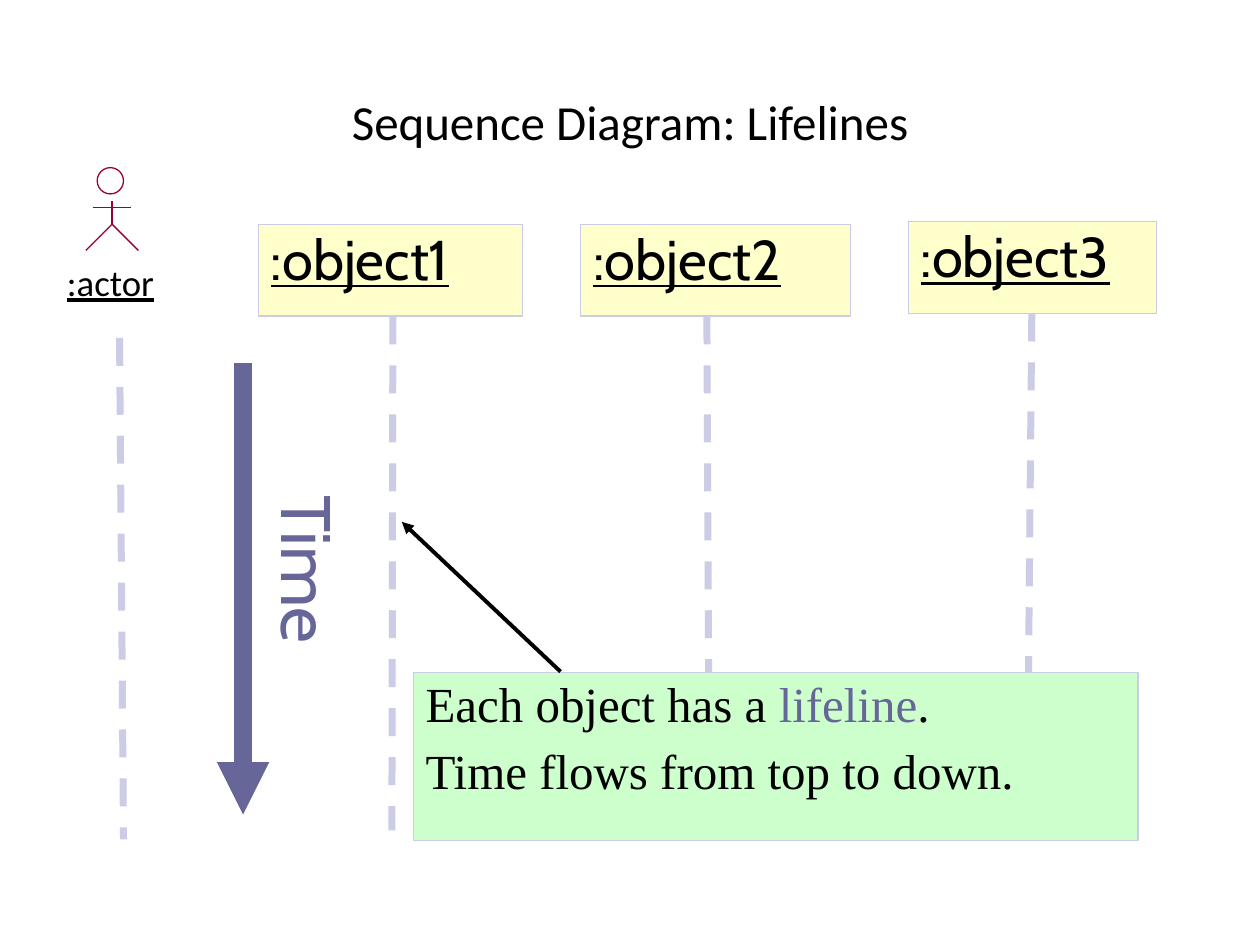
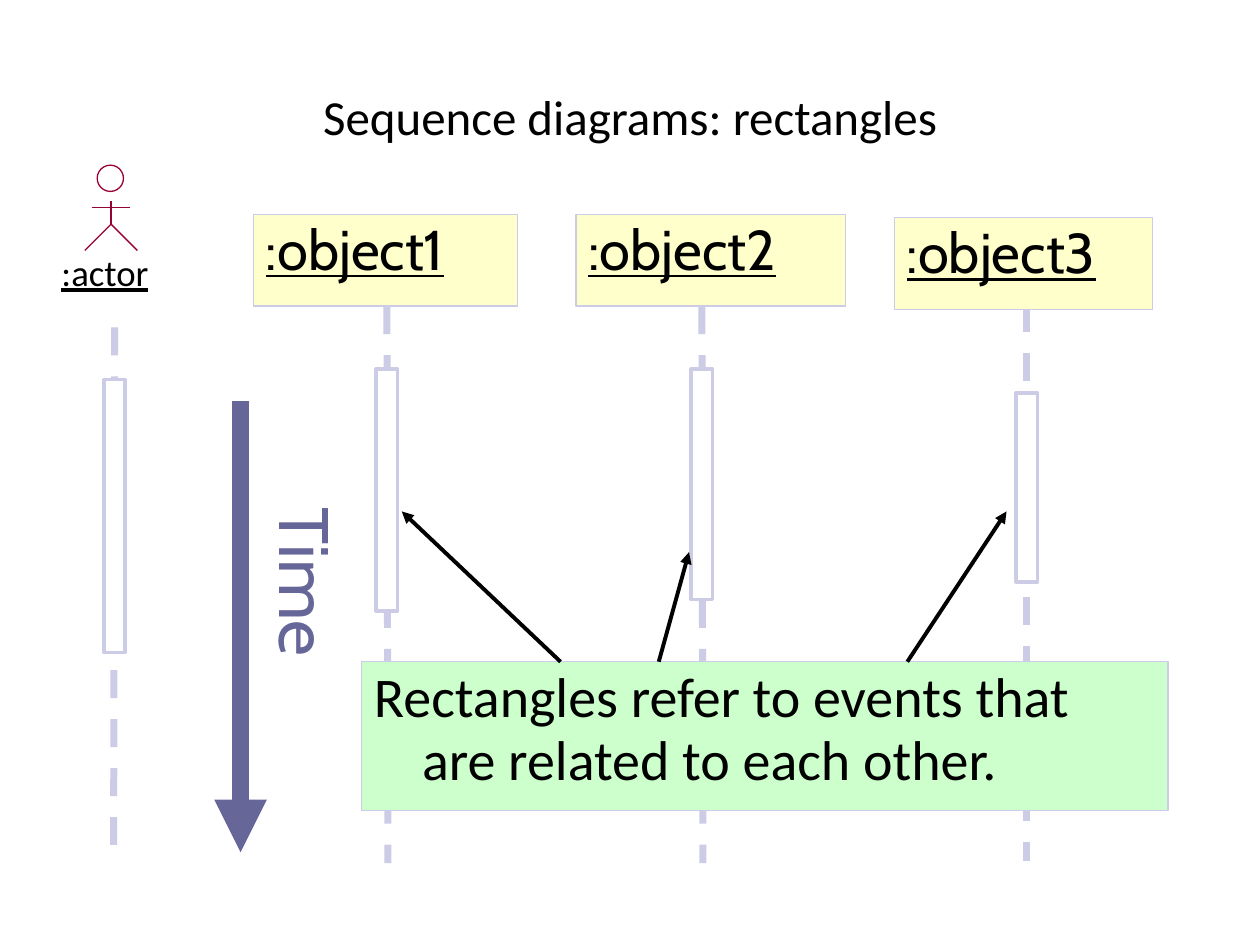
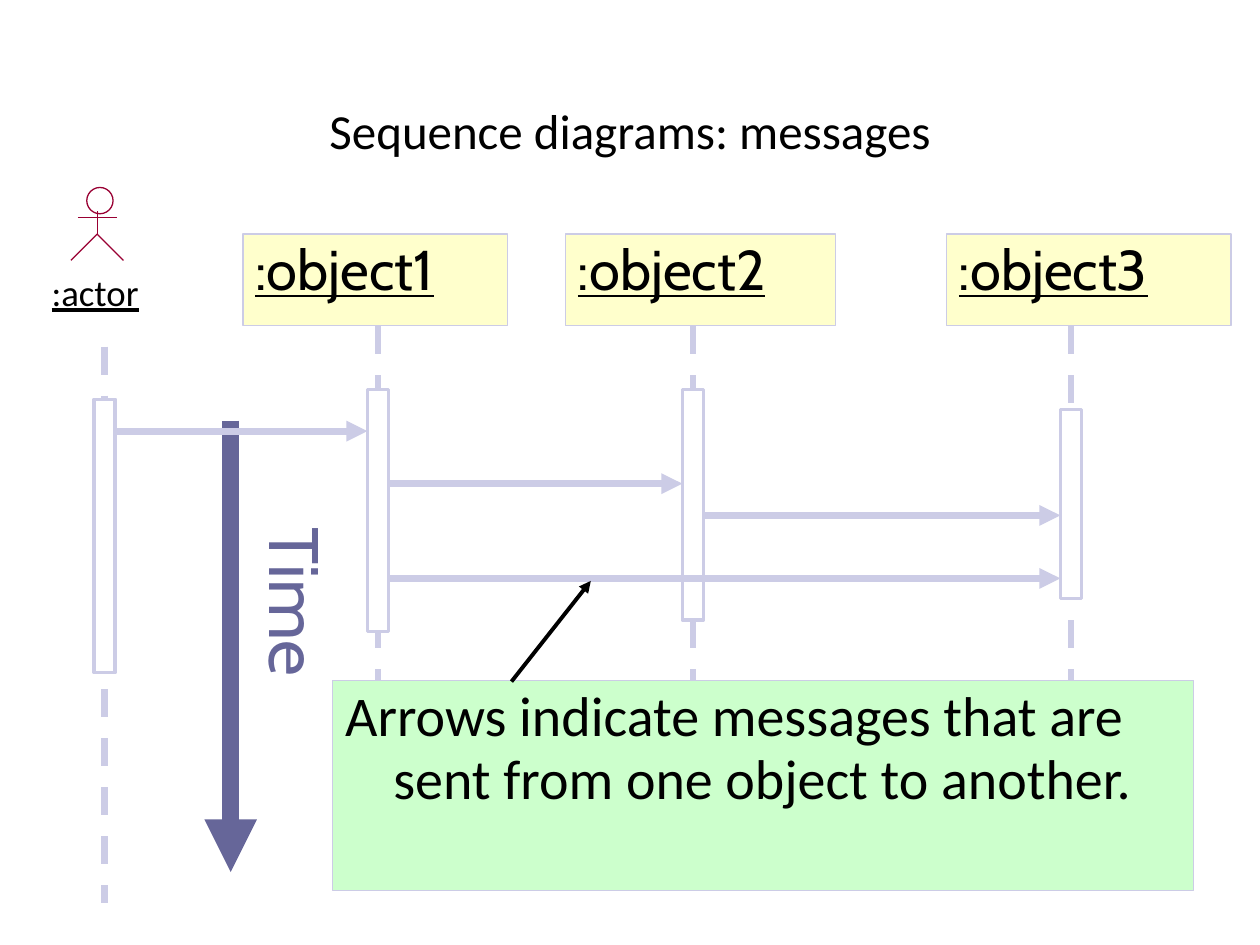
from lxml import etree
from pptx import Presentation, util as u
from pptx.dml.color import RGBColor
from pptx.enum import dml, shapes, text
from pptx.oxml import ns

COLORS = {"ink": "000000", "accent": "666699", "lavender": "CCCCE6",
          "cream": "FFFFCC", "mint": "CCFFCC", "white": "FFFFFF", "actor": "990033"}
OBJECTS = [":object1", ":object2", ":object3"]
OBJECT_HEIGHT = 1.85
ACTIVATION_WIDTH = 0.43
ACTIVATION_HEIGHTS = [5.51, 4.88, 4.65, 3.81]

# Lengths are centimetres; participants run from the actor to object3.
DIAGRAMS = [
    {"title": "Sequence Diagram: Lifelines", "title_height": 2.46,
     "hip": (2.26, 4.52), "head": (1.96, 3.38), "actor_label": (1.35, 5.31),
     "boxes": [(5.21, 4.52, 5.33), (11.71, 4.52, 5.44), (18.31, 4.47, 5)],
     "lifelines": [((2.41, 6.81), (2.49, 16.92)), ((7.92, 6.38), (7.9, 16.74)),
                   ((14.25, 6.38), (14.3, 16.92)), ((20.8, 6.32), (20.7, 17.12))],
     "time": (4.9, 7.32, 10.54),
     "activation_tops": [], "messages": [],
     "note_box": (8.33, 13.56, 14.61, 3.38), "note_font": ("Times New Roman", 28),
     "note": [[("Each object has a ", "ink"), ("lifeline", "accent"), (".", "ink")],
              [("Time flows from top to down.", "ink")]],
     "pointers": [((11.3, 13.54), (8.1, 10.52))]},
    {"title": "Sequence diagrams: rectangles", "title_height": 2.26,
     "hip": (2.24, 4.52), "head": (1.96, 3.33), "actor_label": (1.24, 5.11),
     "boxes": [(5.11, 4.32, 5.33), (11.61, 4.32, 5.44), (18.03, 4.39, 5.21)],
     "lifelines": [((2.31, 6.6), (2.29, 17.32)), ((7.8, 6.17), (7.82, 17.4)),
                   ((14.15, 6.17), (14.17, 17.4)), ((20.7, 6.12), (20.7, 17.35))],
     "time": (4.85, 8.08, 10.8),
     "activation_tops": [7.65, 7.44, 7.44, 7.92], "messages": [],
     "note_box": (7.29, 13.34, 16.26, 3), "note_font": ("Calibri", 32),
     "note": [[("Rectangles refer to events that are related to each other.", "ink")]],
     "pointers": [((11.3, 13.34), (8.1, 10.31)), ((13.28, 13.34), (13.89, 11.13)),
                  ((18.29, 13.34), (20.29, 10.31))]},
    {"title": "Sequence diagrams: messages", "title_height": 2.84,
     "hip": (1.96, 4.72), "head": (1.75, 3.78), "actor_label": (1.04, 5.51),
     "boxes": [(4.9, 4.72, 5.33), (11.4, 4.72, 5.44), (19.08, 4.72, 5.74)],
     "lifelines": [((2.11, 6.99), (2.11, 18.21)), ((7.62, 6.58), (7.62, 17.78)),
                   ((13.97, 6.58), (13.97, 17.78)), ((21.59, 6.58), (21.59, 17.78))],
     "time": (4.65, 8.48, 11.2),
     "activation_tops": [8.05, 7.85, 7.85, 8.26],
     "messages": [(0, 1, 8.69), (1, 2, 9.75), (2, 3, 10.39), (1, 3, 11.66)],
     "note_box": (6.71, 13.72, 17.35, 4.24), "note_font": ("Calibri", 32),
     "note": [[("Arrows indicate messages that are sent from one object to another.", "ink")]],
     "pointers": [((10.31, 13.74), (11.91, 11.71))]},
]


def cm(*lengths):
    return [u.Cm(length) for length in lengths]


def rgb(color):
    return RGBColor.from_string(COLORS[color])


def style_runs(paragraph, font, size, color="ink", underline=None):
    paragraph.line_spacing = 0.93
    for run in paragraph.runs:
        run.font.name, run.font.size = font, u.Pt(size)
        run.font.color.rgb = rgb(color)
        run.font.underline = underline


def add_label(slide, words, box, font, size, color="ink", underline=None, inset=None, wrap=False):
    label = slide.shapes.add_textbox(*cm(*box))
    frame = label.text_frame
    frame.text = words
    frame.word_wrap = wrap
    if inset is not None:
        frame.margin_left = frame.margin_right = frame.margin_top = frame.margin_bottom = inset
    style_runs(frame.paragraphs[0], font, size, color, underline)
    return label


def outline(shape, fill, line, width=0.75):
    shape.shadow.inherit = False
    if fill:
        shape.fill.solid()
        shape.fill.fore_color.rgb = rgb(fill)
    else:
        shape.fill.background()
    shape.line.color.rgb = rgb(line)
    shape.line.width = u.Pt(width)


def add_block(slide, box, fill, line="lavender", width=0.75, kind=shapes.MSO_SHAPE.RECTANGLE):
    block = slide.shapes.add_shape(kind, *cm(*box))
    outline(block, fill, line, width)
    frame = block.text_frame
    frame.word_wrap = True
    frame.vertical_anchor = text.MSO_ANCHOR.TOP
    frame.paragraphs[0].alignment = text.PP_ALIGN.LEFT
    return block


def add_line(slide, start, end, color, width, dashed=False, arrow=False):
    line = slide.shapes.add_connector(shapes.MSO_CONNECTOR.STRAIGHT, *cm(*start, *end))
    line.line.color.rgb = rgb(color)
    line.line.width = u.Pt(width)
    if dashed:
        line.line.dash_style = dml.MSO_LINE.DASH
    if arrow:
        etree.SubElement(line.line._get_or_add_ln(), ns.qn("a:tailEnd"), type="triangle")
    etree.SubElement(line._element.spPr, ns.qn("a:effectLst"))


def add_title(slide, diagram):
    title = add_label(slide, diagram["title"], (1.27, 1.27, 22.86, diagram["title_height"]),
                      "Calibri", 28, wrap=True)
    title.text_frame.vertical_anchor = text.MSO_ANCHOR.MIDDLE
    title.text_frame.paragraphs[0].alignment = text.PP_ALIGN.CENTER


def add_actor(slide, diagram):
    x, hip = diagram["hip"]
    add_block(slide, (*diagram["head"], 0.53, 0.53), None, "actor", kind=shapes.MSO_SHAPE.OVAL)
    add_line(slide, (x, hip - 0.46), (x, hip), "actor", 0.75)
    add_line(slide, (x - 0.39, hip - 0.33), (x + 0.39, hip - 0.33), "actor", 0.75)
    left_foot, crotch, right_foot = [cm(x + dx, hip + dy)
                                     for dx, dy in [(-0.53, 0.53), (0, 0), (0.53, 0.53)]]
    legs = slide.shapes.build_freeform(*left_foot, scale=1.0)
    legs.add_line_segments([crotch, right_foot], close=False)
    outline(legs.convert_to_shape(), None, "actor")
    add_label(slide, ":actor", (*diagram["actor_label"], 1.85, 0.89), "Calibri", 21,
              underline=True, inset=0)


def add_objects(slide, diagram):
    for name, box in zip(OBJECTS, diagram["boxes"]):
        frame = add_block(slide, (*box, OBJECT_HEIGHT), "cream").text_frame
        frame.paragraphs[0].text = name
        style_runs(frame.paragraphs[0], "Cabin", 32, underline=True)


def add_note(slide, diagram):
    frame = add_block(slide, diagram["note_box"], "mint").text_frame
    for index, sentence in enumerate(diagram["note"]):
        paragraph = frame.add_paragraph() if index else frame.paragraphs[0]
        paragraph.alignment = text.PP_ALIGN.LEFT
        if index:
            paragraph.space_before = u.Pt(7)
        hanging = paragraph._p.get_or_add_pPr()
        hanging.set("marL", str(u.Cm(0.97)))
        hanging.set("indent", str(-u.Cm(0.97)))
        for words, _ in sentence:
            paragraph.add_run().text = words
        style_runs(paragraph, *diagram["note_font"])
        for run, (_, color) in zip(paragraph.runs, sentence):
            run.font.color.rgb = rgb(color)


def add_time(slide, diagram):
    x, top, label_top = diagram["time"]
    add_line(slide, (x, top), (x, top + 9.1), "accent", 10, arrow=True)
    add_label(slide, "Time", (x - 0.61, label_top, 3.58, 1.96), "Cabin", 40, "accent").rotation = 90


def add_events(slide, diagram):
    centers = [start[0] for start, _ in diagram["lifelines"]]
    half = ACTIVATION_WIDTH / 2
    for x, top, height in zip(centers, diagram["activation_tops"], ACTIVATION_HEIGHTS):
        add_block(slide, (x - half, top, ACTIVATION_WIDTH, height), "white", width=2)
    for sender, receiver, y in diagram["messages"]:
        add_line(slide, (centers[sender] + half, y), (centers[receiver] - half, y),
                 "lavender", 4, arrow=True)


def main():
    deck = Presentation()
    deck.slide_width, deck.slide_height = cm(25.4, 19.05)
    for diagram in DIAGRAMS:
        slide = deck.slides.add_slide(deck.slide_layouts[6])
        add_title(slide, diagram)
        add_actor(slide, diagram)
        for start, end in diagram["lifelines"]:
            add_line(slide, start, end, "lavender", 4, dashed=True)
        add_objects(slide, diagram)
        add_note(slide, diagram)
        add_time(slide, diagram)
        add_events(slide, diagram)
        for start, end in diagram["pointers"]:
            add_line(slide, start, end, "ink", 2.25, arrow=True)
    deck.save("out.pptx")


if __name__ == "__main__":
    main()
